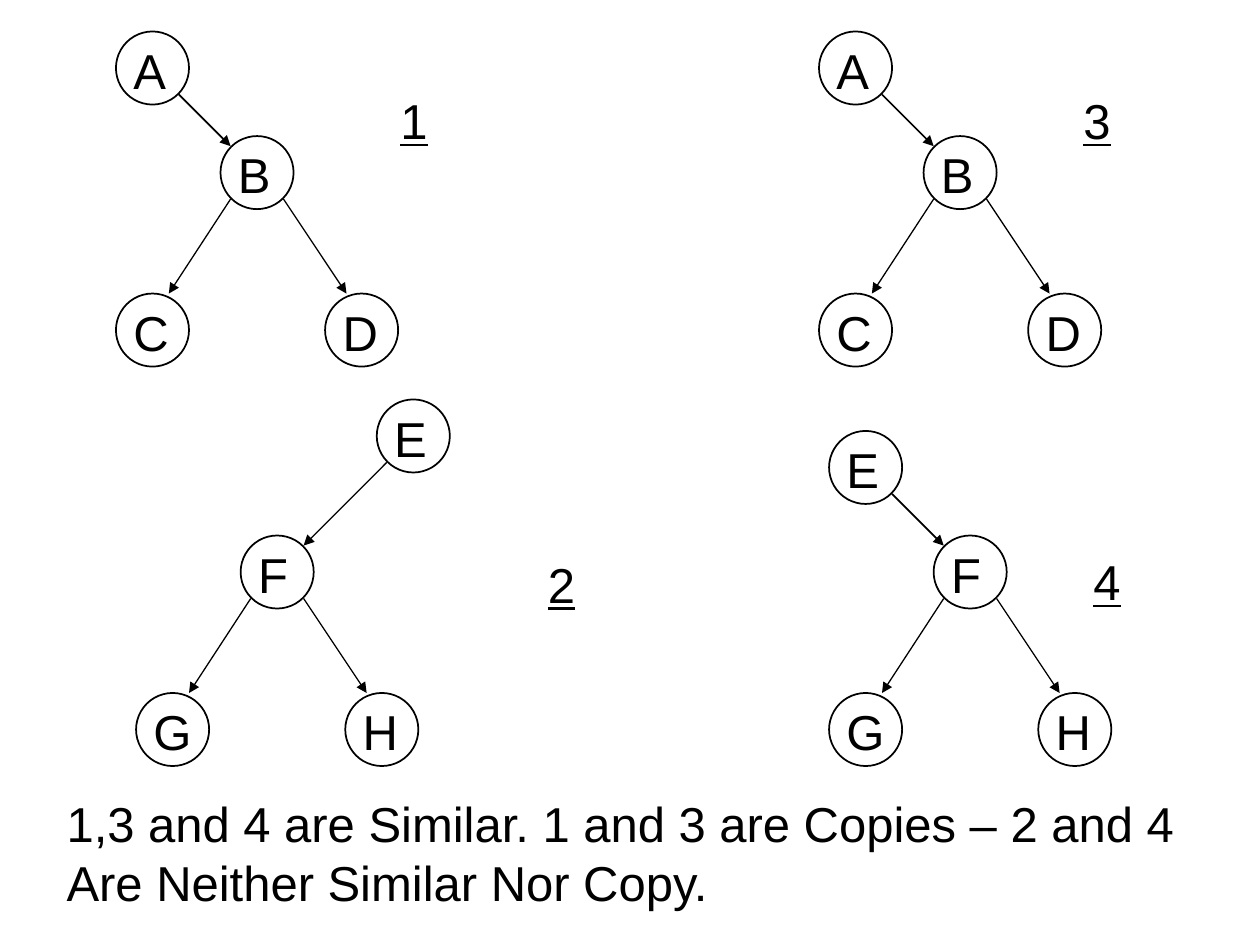
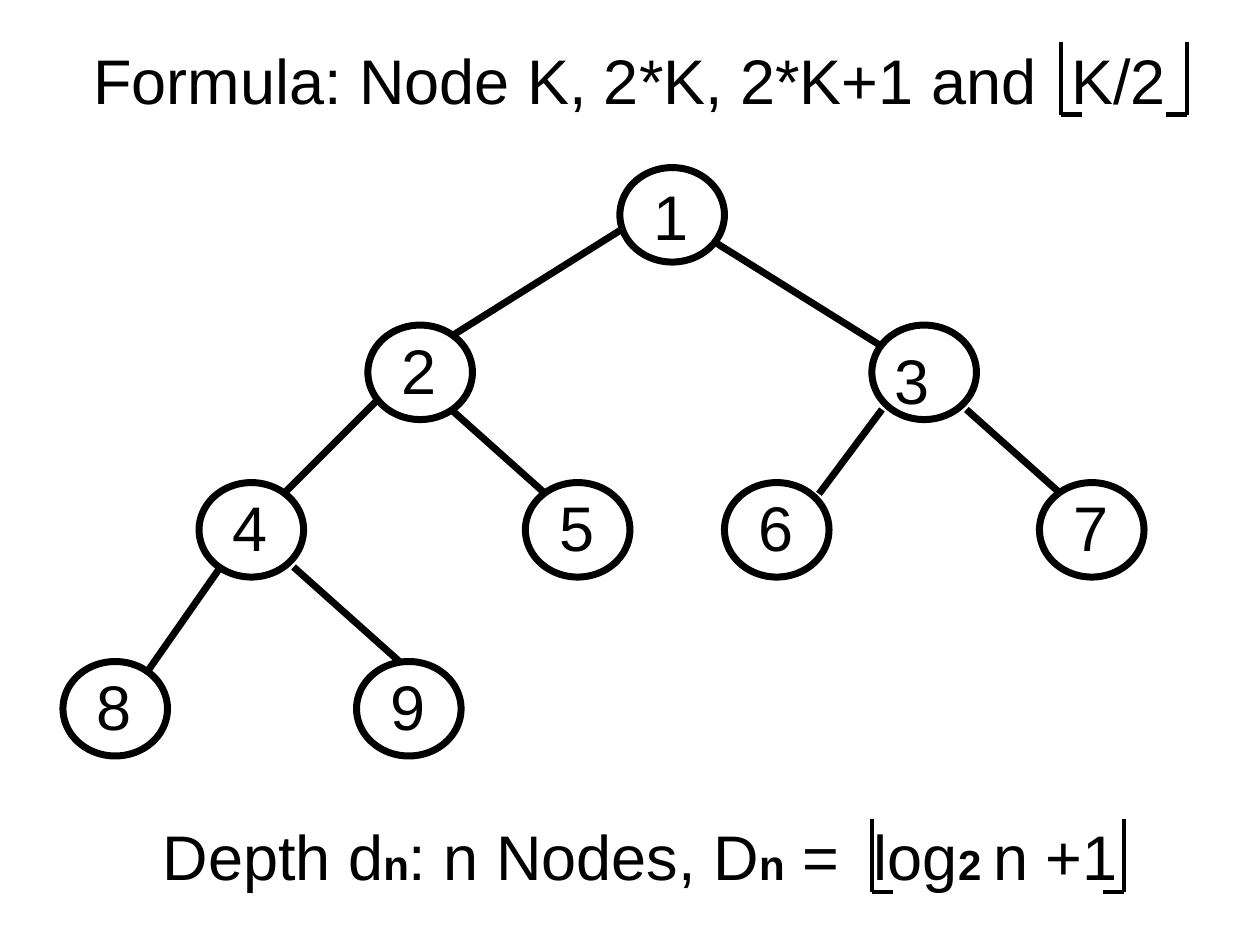
"""Draw binary trees: similar and copied trees, then a numbered tree with its formulas."""
from dataclasses import dataclass
from typing import Any

import lxml.etree
import pptx
import pptx.dml.color
import pptx.enum.shapes
import pptx.enum.text
import pptx.oxml.ns
import pptx.slide
import pptx.text.text
import pptx.util

Inches = pptx.util.Inches
Runs = list[tuple[str, dict[str, Any]]]
INK = "000000"
FACE = "Arial"
SMALL, LARGE = 28, 36
BIG = {"size": pptx.util.Pt(LARGE), "bold": False}
SUB = {"size": pptx.util.Pt(24), "bold": True}
PLAIN = {"size": pptx.util.Pt(SMALL)}
MARK = PLAIN | {"underline": True}
EMS = {"A": 0.67, "B": 0.67, "C": 0.72, "D": 0.72, "E": 0.67, "F": 0.61, "G": 0.78, "H": 0.72}
DIGIT = 0.56
SIDE = 0.58


@dataclass
class Tree:
    names: str
    left: float
    top: float
    shift: float
    rise: float
    mark: str
    spot: tuple[float, float]


@dataclass
class Node:
    name: str
    left: float
    top: float
    inset: tuple[float, float] = (0.17, 0)


@dataclass
class Floor:
    left: float
    right: float
    top: float


TREES = [
    Tree("ABCD", 1.75, 1.08, -0.83, 0.83, "1", (3.08, 0.67)),
    Tree("EFGH", 1.91, 4.25, 1.08, 1.08, "2", (4.25, 4.35)),
    Tree("ABCD", 7.33, 1.08, -0.83, 0.83, "3", (8.5, 0.67)),
    Tree("EFGH", 7.41, 4.25, -0.83, 0.83, "4", (8.58, 4.33)),
]
NODES = [
    Node("1", 4.92, 1.33, (0.17, 0.03)),
    Node("2", 2.92, 2.58),
    Node("3", 6.92, 2.58, (0.08, 0.08)),
    Node("4", 1.58, 3.83),
    Node("5", 4.17, 3.83),
    Node("6", 5.75, 3.83),
    Node("7", 8.25, 3.83),
    Node("8", 0.5, 5.25),
    Node("9", 2.83, 5.25),
]
EDGES = [
    (4.92, 1.83, 3.58, 2.67),
    (5.67, 1.92, 7, 2.75),
    (3, 3.17, 2.25, 3.92),
    (3.58, 3.25, 4.33, 3.92),
    (7, 3.25, 6.5, 3.92),
    (7.67, 3.25, 8.42, 3.92),
    (1.75, 4.5, 1.17, 5.33),
    (2.33, 4.5, 3.17, 5.25),
]
FLOORS = [Floor(8.42, 9.42, 0.33), Floor(6.92, 8.92, 6.5)]
CLAIM = ["1,3 and 4 are Similar. 1 and 3 are Copies – 2 and 4", "Are Neither Similar Nor Copy."]
RULE: Runs = [("Formula: Node K, 2*K, 2*K+1 and  K/2", BIG)]
DEPTH: Runs = [("Depth d", BIG), ("n", SUB), (": n Nodes, D", BIG), ("n", SUB),
               (" =  log", BIG), ("2 ", SUB), ("n +1", BIG)]


def tint(code: str) -> pptx.dml.color.RGBColor:
    """Turn a hex string into a colour."""
    return pptx.dml.color.RGBColor.from_string(code)


def write(frame: pptx.text.text.TextFrame, lines: list[Runs], **form: Any) -> None:
    """Fill a text frame with lines of formatted runs."""
    for key, value in form.items():
        setattr(frame, key, value)
    for count, runs in enumerate(lines):
        para = frame.add_paragraph() if count else frame.paragraphs[0]
        for words, looks in runs:
            run = para.add_run()
            run.text = words
            for key, value in ({"name": FACE} | looks).items():
                setattr(run.font, key, value)
            run.font.color.rgb = tint(INK)


def label(page: pptx.slide.Slide, lines: list[Runs], left: float, top: float,
          width: float, height: float) -> None:
    """Place text that fits its own box and does not wrap."""
    box = page.shapes.add_textbox(*map(Inches, (left, top, width, height)))
    write(box.text_frame, lines, word_wrap=False,
          auto_size=pptx.enum.text.MSO_AUTO_SIZE.SHAPE_TO_FIT_TEXT)


def glyph(page: pptx.slide.Slide, sign: str, left: float, top: float,
          size: int, looks: dict[str, Any]) -> None:
    """Place one sign in a box as wide as the sign and its margins."""
    width = EMS.get(sign, DIGIT) * size / 72 + 0.2
    label(page, [[(sign, looks)]], left, top, width, 0.57 if size == SMALL else 0.7)


def ring(page: pptx.slide.Slide, left: float, top: float, width: float,
         height: float, weight: float) -> None:
    """Draw an open ellipse."""
    oval = page.shapes.add_shape(pptx.enum.shapes.MSO_SHAPE.OVAL,
                                 *map(Inches, (left, top, width, height)))
    oval.shadow.inherit = False
    oval.fill.background()
    oval.line.color.rgb = tint(INK)
    oval.line.width = pptx.util.Pt(weight)


def link(page: pptx.slide.Slide, ends: tuple[float, float, float, float],
         weight: float, arrow: bool = False) -> None:
    """Draw a straight line, with an arrowhead if asked."""
    line = page.shapes.add_connector(pptx.enum.shapes.MSO_CONNECTOR.STRAIGHT,
                                     *map(Inches, ends))
    line.line.color.rgb = tint(INK)
    line.line.width = pptx.util.Pt(weight)
    name = pptx.oxml.ns.qn
    form = line._element.spPr
    if arrow:
        lxml.etree.SubElement(form.find(name("a:ln")), name("a:tailEnd"), type="triangle")
    lxml.etree.SubElement(form, name("a:effectLst"))


def plant(page: pptx.slide.Slide, tree: Tree) -> None:
    """Draw a root, its only child and two leaves."""
    x, y = tree.left, tree.top
    root = (x + tree.shift, y - tree.rise)
    leaves = [(x - 0.83, y + 1.25), (x + 0.83, y + 1.25)]
    for sign, (left, top) in zip(tree.names, [root, (x, y), *leaves]):
        ring(page, left, top, SIDE, SIDE, 1)
        glyph(page, sign, left + 0.04, top + 0.02, SMALL, PLAIN)
    near, far = (0.5, 0.08) if tree.shift < 0 else (0.08, 0.5)
    link(page, (root[0] + near, root[1] + 0.5, x + far, y + 0.08),
         1 if tree.shift < 0 else 0.75, True)
    for (left, top), start, end in zip(leaves, (0.08, 0.5), (0.42, 0.17)):
        link(page, (x + start, y + 0.5, left + end, top), 0.75, True)
    glyph(page, tree.mark, *tree.spot, SMALL, MARK)


def clasp(page: pptx.slide.Slide, floor: Floor) -> None:
    """Draw a pair of floor brackets."""
    base = floor.top + 0.58
    for x, foot in ((floor.left, 0.17), (floor.right, -0.17)):
        link(page, (x, floor.top, x, base), 2.5)
        link(page, (x, base, x + foot, base), 2.5)


def center(shape: Any, runs: Runs) -> None:
    """Write one line in the middle of a shape."""
    write(shape.text_frame, [runs], word_wrap=True,
          vertical_anchor=pptx.enum.text.MSO_ANCHOR.MIDDLE)
    shape.text_frame.paragraphs[0].alignment = pptx.enum.text.PP_ALIGN.CENTER


def compare(deck: Any) -> None:
    """Build the slide of similar and copied trees."""
    page = deck.slides.add_slide(deck.slide_layouts[6])
    for tree in TREES:
        plant(page, tree)
    label(page, [[(words, PLAIN)] for words in CLAIM], 0.43, 6.25, 9.01, 1.04)


def number(deck: Any) -> None:
    """Build the slide of the numbered tree."""
    page = deck.slides.add_slide(deck.slide_layouts[5])
    title = page.shapes.title
    place = {"left": 0, "top": 0.17, "width": 10, "height": 0.92}
    for key, value in place.items():
        setattr(title, key, Inches(value))
    center(title, RULE)
    for ends in EDGES:
        link(page, ends, 4)
    for node in NODES:
        ring(page, node.left, node.top, 0.83, 0.75, 4)
        across, down = node.inset
        glyph(page, node.name, node.left + across, node.top + down, LARGE, BIG)
    center(page.shapes.add_textbox(*map(Inches, (0.08, 6.33, 10, 0.92))), DEPTH)
    for floor in FLOORS:
        clasp(page, floor)


def main() -> None:
    """Build and save the deck."""
    deck = pptx.Presentation()
    deck.slide_width, deck.slide_height = Inches(10), Inches(7.5)
    compare(deck)
    number(deck)
    deck.save("out.pptx")


if __name__ == "__main__":
    main()
